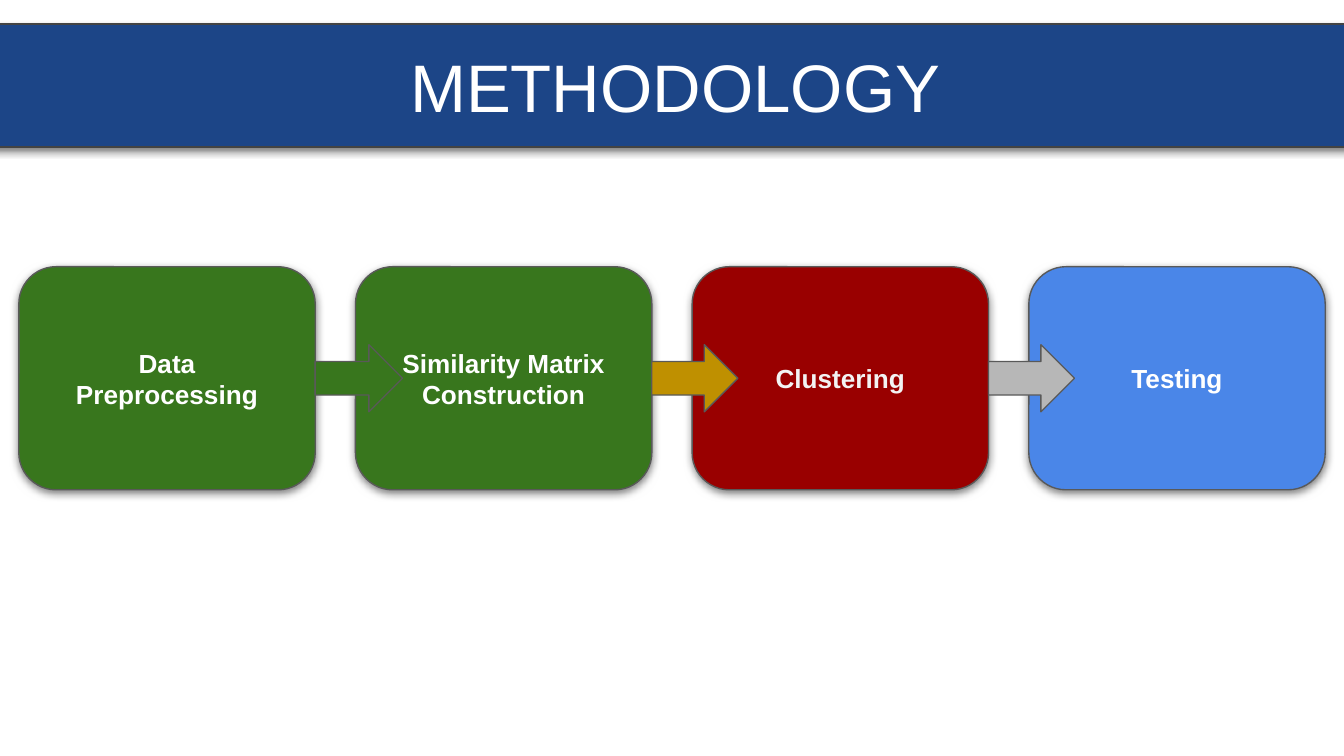
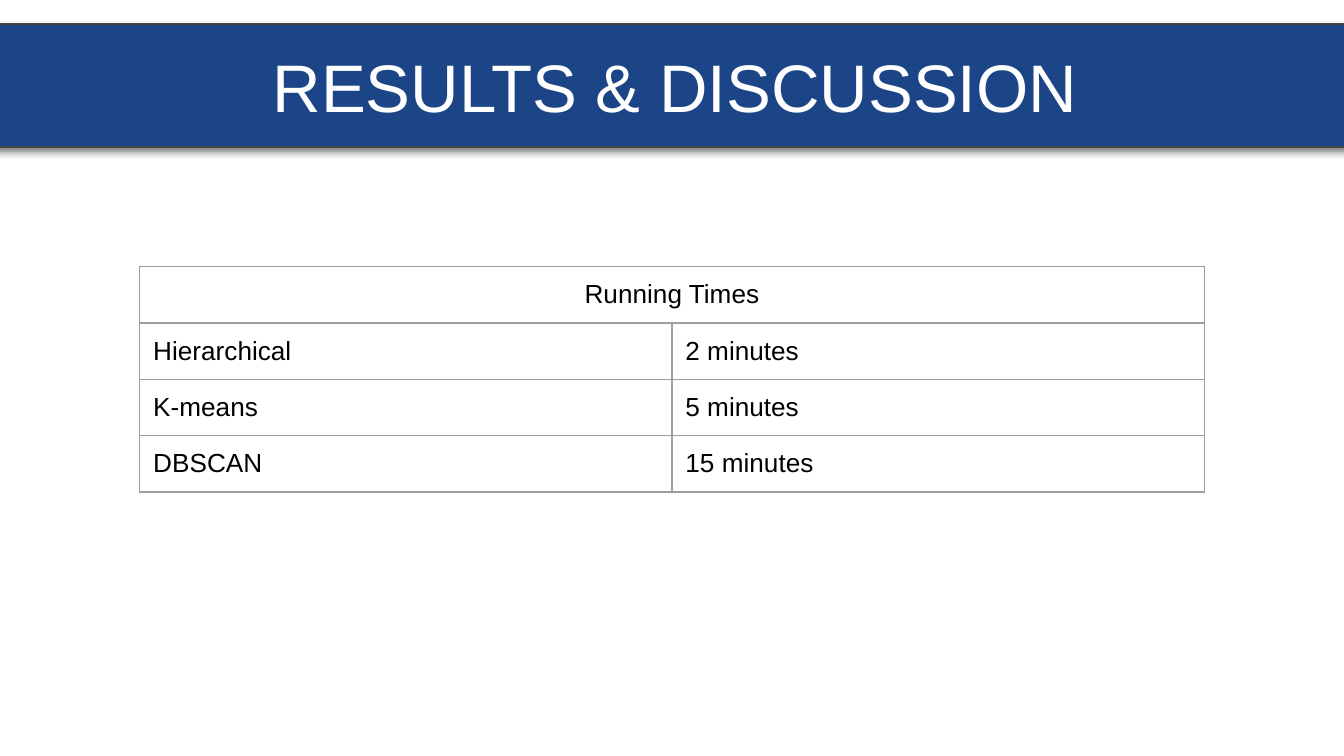
"""Builds the methodology and results slides of a clustering talk."""
from lxml import etree
from pptx import Presentation
from pptx.dml.color import RGBColor
from pptx.enum.shapes import MSO_SHAPE
from pptx.enum.text import MSO_ANCHOR, MSO_AUTO_SIZE, PP_ALIGN
from pptx.oxml.ns import qn
from pptx.util import Emu, Pt

LEFT, CENTER = PP_ALIGN.LEFT, PP_ALIGN.CENTER
MIDDLE, TOP = MSO_ANCHOR.MIDDLE, MSO_ANCHOR.TOP
NO_FIT = MSO_AUTO_SIZE.NONE
ROUNDED, ARROW = MSO_SHAPE.ROUNDED_RECTANGLE, MSO_SHAPE.RIGHT_ARROW

WHITE = RGBColor(0xFF, 0xFF, 0xFF)
OFF_WHITE = RGBColor(0xF3, 0xF3, 0xF3)
BLACK = RGBColor(0x00, 0x00, 0x00)
NAVY = RGBColor(0x1C, 0x45, 0x87)
GREEN = RGBColor(0x38, 0x76, 0x1D)
RED = RGBColor(0x99, 0x00, 0x00)
BLUE = RGBColor(0x4A, 0x86, 0xE8)
GOLD = RGBColor(0xBF, 0x90, 0x00)
SILVER = RGBColor(0xB7, 0xB7, 0xB7)
BAND_EDGE = RGBColor(0x43, 0x43, 0x43)
EDGE = RGBColor(0x59, 0x59, 0x59)
GRID = RGBColor(0x9E, 0x9E, 0x9E)

PX = 4572
SLIDE_W, SLIDE_H = 2000, 1125
INSET = 20
CONTENT_TOP = 397
LINE_WIDTH = Pt(0.75)
FONT = "Arial"
TITLE_ONLY = 5

STEP_W, STEP_H, STEP_MARGIN = 441, 332, 28
ARROW_TOP, ARROW_H = 513, 100
STEPS = [
    ("Data\nPreprocessing", GREEN, WHITE),
    ("Similarity Matrix\nConstruction", GREEN, WHITE),
    ("Clustering", RED, OFF_WHITE),
    ("Testing", BLUE, WHITE),
]
ARROWS = [(GREEN, 130), (GOLD, 128), (SILVER, 128)]
RUNNING_TIMES = [
    ("Hierarchical", "2 minutes"),
    ("K-means", "5 minutes"),
    ("DBSCAN", "15 minutes"),
]


def px(*lengths):
    """Turn px lengths into EMU."""
    return [Emu(length * PX) for length in lengths]


def write_text(frame, text, size=14, color=BLACK, bold=False, align=LEFT):
    """Fill a text frame, one paragraph for each line of text."""
    frame.text = text
    for paragraph in frame.paragraphs:
        paragraph.alignment = align
        for run in paragraph.runs:
            run.font.name = FONT
            run.font.size = Pt(size)
            run.font.bold = bold
            run.font.color.rgb = color


def set_insets(holder):
    """Give a text frame or cell the common inset on all sides."""
    inset, = px(INSET)
    holder.margin_left = holder.margin_right = inset
    holder.margin_top = holder.margin_bottom = inset


def add_color(parent, color):
    """Append a colour element and return it."""
    return etree.SubElement(parent, qn("a:srgbClr"), val=str(color))


class Deck:
    """Holds the presentation style and the current slide."""

    def __init__(self):
        self.presentation = Presentation()
        self.presentation.slide_width, self.presentation.slide_height = px(SLIDE_W, SLIDE_H)
        self.slide = None

    def start_slide(self, heading):
        """Add a slide whose title placeholder is the heading band."""
        layout = self.presentation.slide_layouts[TITLE_ONLY]
        self.slide = self.presentation.slides.add_slide(layout)
        band = self.slide.shapes.title
        band.left, band.top, band.width, band.height = px(-55, 36, 2120, 183)
        geometry = etree.Element(qn("a:prstGeom"), prst="roundRect")
        etree.SubElement(geometry, qn("a:avLst"))
        band.element.spPr.insert(1, geometry)
        self.paint(band, NAVY, edge=BAND_EDGE, shadow=True)
        self.label(band, heading, size=36, color=WHITE, align=CENTER)

    def paint(self, shape, fill, edge=EDGE, shadow=False):
        """Set fill, outline and optional soft shadow."""
        shape.fill.solid()
        shape.fill.fore_color.rgb = fill
        shape.line.color.rgb = edge
        shape.line.width = LINE_WIDTH
        shape.shadow.inherit = False
        if shadow:
            effects = shape.element.spPr.find(qn("a:effectLst"))
            outer = etree.SubElement(
                effects, qn("a:outerShdw"), blurRad=str(Pt(4.5)), dist=str(Pt(1.5)),
                dir="5400000", algn="bl", rotWithShape="0")
            etree.SubElement(add_color(outer, BLACK), qn("a:alpha"), val="50000")

    def label(self, shape, text, **style):
        """Write middle-anchored text into a shape."""
        frame = shape.text_frame
        frame.word_wrap = True
        frame.auto_size = NO_FIT
        frame.vertical_anchor = MIDDLE
        set_insets(frame)
        write_text(frame, text, **style)

    def add_step(self, left, text, fill, color):
        """Add one rounded step of the process."""
        step = self.slide.shapes.add_shape(ROUNDED, *px(left, CONTENT_TOP, STEP_W, STEP_H))
        self.paint(step, fill, shadow=True)
        self.label(step, text, color=color, bold=True, align=CENTER)

    def add_arrow(self, left, width, fill):
        """Add a block arrow leading to the next step."""
        arrow = self.slide.shapes.add_shape(ARROW, *px(left, ARROW_TOP, width, ARROW_H))
        self.paint(arrow, fill)

    def add_table(self, heading, rows, left, top, column_width, row_height):
        """Add a ruled table with a heading merged across its columns."""
        columns = len(rows[0])
        grid = [(heading,) + ("",) * (columns - 1)] + rows
        table = self.slide.shapes.add_table(
            len(grid), columns,
            *px(left, top, columns * column_width, len(grid) * row_height)).table
        table.first_row = table.horz_banding = False
        for r, row in enumerate(grid):
            for c, text in enumerate(row):
                cell = table.cell(r, c)
                self.rule_cell(cell)
                if text:
                    write_text(cell.text_frame, text, align=LEFT if r else CENTER)
        table.cell(0, 0).merge(table.cell(0, columns - 1))

    def rule_cell(self, cell):
        """Set the insets, borders and empty fill of a cell."""
        set_insets(cell)
        cell.vertical_anchor = TOP
        properties = cell._tc.get_or_add_tcPr()
        for side in "LRTB":
            border = etree.SubElement(properties, qn(f"a:ln{side}"), w=str(LINE_WIDTH))
            add_color(etree.SubElement(border, qn("a:solidFill")), GRID)
        cell.fill.background()


def main():
    """Build both slides and save them."""
    deck = Deck()

    deck.start_slide("METHODOLOGY")
    pitch = (SLIDE_W - 2 * STEP_MARGIN - STEP_W) // (len(STEPS) - 1)
    lefts = [STEP_MARGIN + i * pitch for i in range(len(STEPS))]
    for left, (text, fill, color) in zip(lefts, STEPS):
        deck.add_step(left, text, fill, color)
    for left, (fill, width) in zip(lefts, ARROWS):
        deck.add_arrow(left + STEP_W, width, fill)

    deck.start_slide("RESULTS & DISCUSSION")
    deck.add_table("Running Times", RUNNING_TIMES, left=208, top=CONTENT_TOP,
                   column_width=792, row_height=83)

    deck.presentation.save("out.pptx")


if __name__ == "__main__":
    main()
